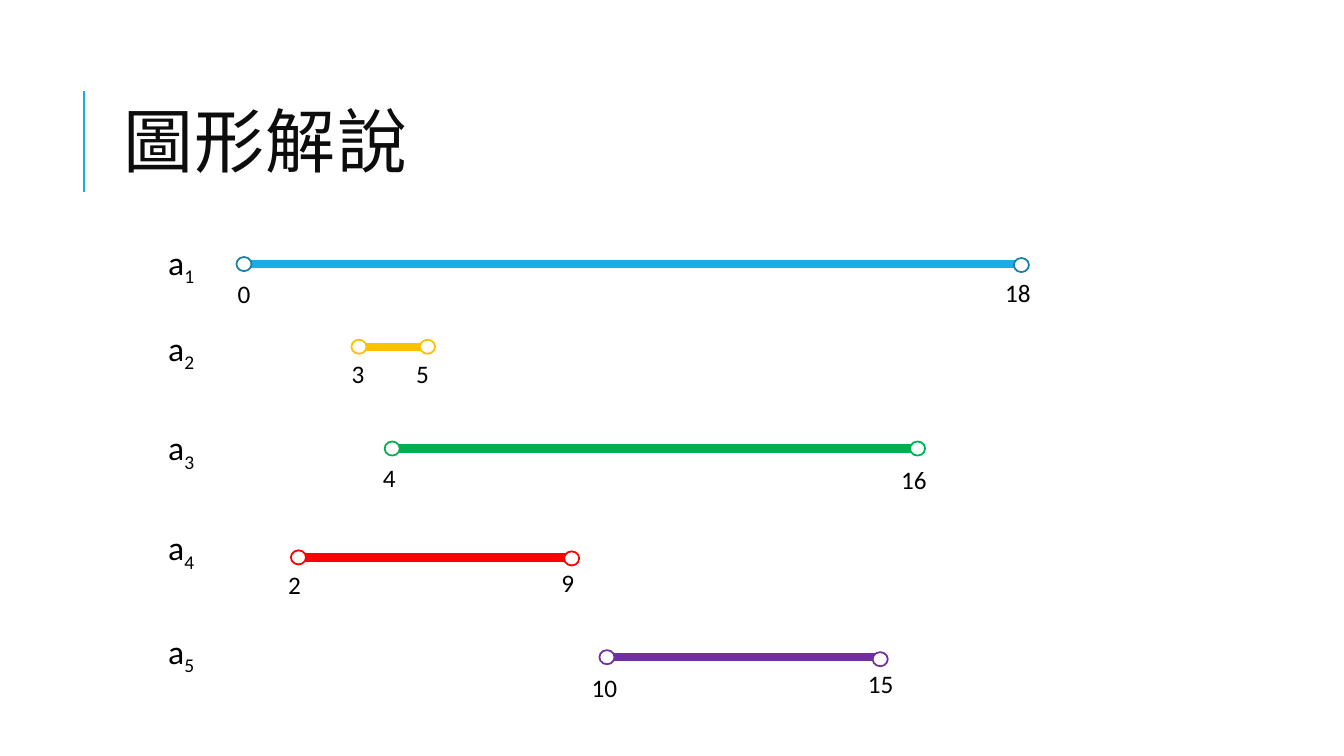
from lxml import etree
from pptx import Presentation
from pptx.dml.color import RGBColor
from pptx.enum.shapes import MSO_CONNECTOR, MSO_SHAPE
from pptx.enum.text import MSO_ANCHOR, MSO_AUTO_SIZE, PP_ALIGN
from pptx.oxml.ns import qn
from pptx.util import Inches, Pt

STRAIGHT, OVAL = MSO_CONNECTOR.STRAIGHT, MSO_SHAPE.OVAL
MIDDLE, LEFT = MSO_ANCHOR.MIDDLE, PP_ALIGN.LEFT
NO_AUTOFIT, FIT_SHAPE = MSO_AUTO_SIZE.NONE, MSO_AUTO_SIZE.SHAPE_TO_FIT_TEXT

BLACK = RGBColor(0x00, 0x00, 0x00)
INK = RGBColor(0x0D, 0x0D, 0x0D)
WHITE = RGBColor(0xFF, 0xFF, 0xFF)
BLUE = RGBColor(0x1C, 0xAD, 0xE4)
DARK_BLUE = RGBColor(0x15, 0x80, 0xA9)
GOLD = RGBColor(0xFF, 0xC0, 0x00)
GREEN = RGBColor(0x00, 0xB0, 0x50)
RED = RGBColor(0xFF, 0x00, 0x00)
PURPLE = RGBColor(0x70, 0x30, 0xA0)

# Content: bar colour, ring colour, name top, bar height on the slide,
# then start and end as (value, centre x, centre y, value left, value top)
TITLE = "圖形解說"
INTERVALS = [
    (BLUE, DARK_BLUE, 2.35, 2.62,
     (0, 2.42, 2.62, 2.26, 2.71), (18, 10.13, 2.63, 9.87, 2.70)),
    (GOLD, GOLD, 3.20, 3.44,
     (3, 3.56, 3.44, 3.39, 3.51), (5, 4.24, 3.44, 4.03, 3.51)),
    (GREEN, GREEN, 4.19, 4.45,
     (4, 3.89, 4.45, 3.70, 4.54), (16, 9.10, 4.45, 8.84, 4.56)),
    (RED, RED, 5.18, 5.53,
     (2, 2.96, 5.53, 2.76, 5.60), (9, 5.67, 5.54, 5.47, 5.58)),
    (PURPLE, PURPLE, 6.21, 6.52,
     (10, 6.02, 6.52, 5.77, 6.62), (15, 8.73, 6.54, 8.51, 6.58)),
]
NAME_LEFT = 1.57
RING_WIDTH, RING_HEIGHT = 0.15, 0.14
NAME_FORMAT = {"name": "Calibri", "size": Pt(24)}
VALUE_FORMAT = {"name": "Calibri", "size": Pt(18)}


def add_run(paragraph, text, formats, color):
    run = paragraph.add_run()
    run.text = text
    for attribute, value in formats.items():
        setattr(run.font, attribute, value)
    run.font.color.rgb = color
    return run


def add_line(shapes, start, end, color, width):
    line = shapes.add_connector(STRAIGHT, *map(Inches, start + end))
    line.line.color.rgb = color
    line.line.width = Pt(width)
    etree.SubElement(line._element.spPr, qn("a:effectLst"))


def add_label(shapes, left, top, width, height):
    box = shapes.add_textbox(*map(Inches, (left, top, width, height)))
    box.text_frame.word_wrap = True
    box.text_frame.auto_size = FIT_SHAPE
    return box.text_frame.paragraphs[0]


def add_ring(shapes, x, y, color):
    ring = shapes.add_shape(
        OVAL, Inches(x - RING_WIDTH / 2), Inches(y - RING_HEIGHT / 2),
        Inches(RING_WIDTH), Inches(RING_HEIGHT))
    ring.shadow.inherit = False
    ring.fill.solid()
    ring.fill.fore_color.rgb = WHITE
    ring.line.color.rgb = color
    ring.line.width = Pt(1.25)


presentation = Presentation()
presentation.slide_width, presentation.slide_height = Inches(13.33), Inches(7.5)
slide = presentation.slides.add_slide(presentation.slide_layouts[5])

# Title and the rule beside it
add_line(slide.shapes, (0.83, 1.9), (0.83, 0.9), BLUE, 1.5)
title = slide.shapes.title
title.left, title.top, title.width, title.height = map(
    Inches, (1.12, 0.64, 10.63, 1.64))
title.text_frame.vertical_anchor = MIDDLE
title.text_frame.auto_size = NO_AUTOFIT
heading = title.text_frame.paragraphs[0]
heading.alignment = LEFT
heading.line_spacing = 0.8
title_run = add_run(
    heading, TITLE, {"name": "Noto Sans CJK TC", "size": Pt(50)}, INK)
run_properties = title_run.font._element
run_properties.set("spc", "100")
etree.SubElement(run_properties, qn("a:ea"), typeface="Noto Sans CJK TC")

# One group per interval: bar, end rings, name and values
for number, (bar, ring, name_top, bar_y, start, end) in enumerate(INTERVALS, 1):
    shapes = slide.shapes.add_group_shape().shapes
    add_line(shapes, (start[1], bar_y), (end[1], bar_y), bar, 6)
    name = add_label(shapes, NAME_LEFT, name_top, 0.97, 0.5)
    add_run(name, "a", NAME_FORMAT, BLACK)
    subscript = add_run(name, str(number), NAME_FORMAT, BLACK)
    subscript.font._element.set("baseline", "-25000")
    for value, x, y, left, top in (start, end):
        add_ring(shapes, x, y, ring)
        label = add_label(shapes, left, top, 0.6, 0.4)
        add_run(label, str(value), VALUE_FORMAT, BLACK)

presentation.save("out.pptx")
